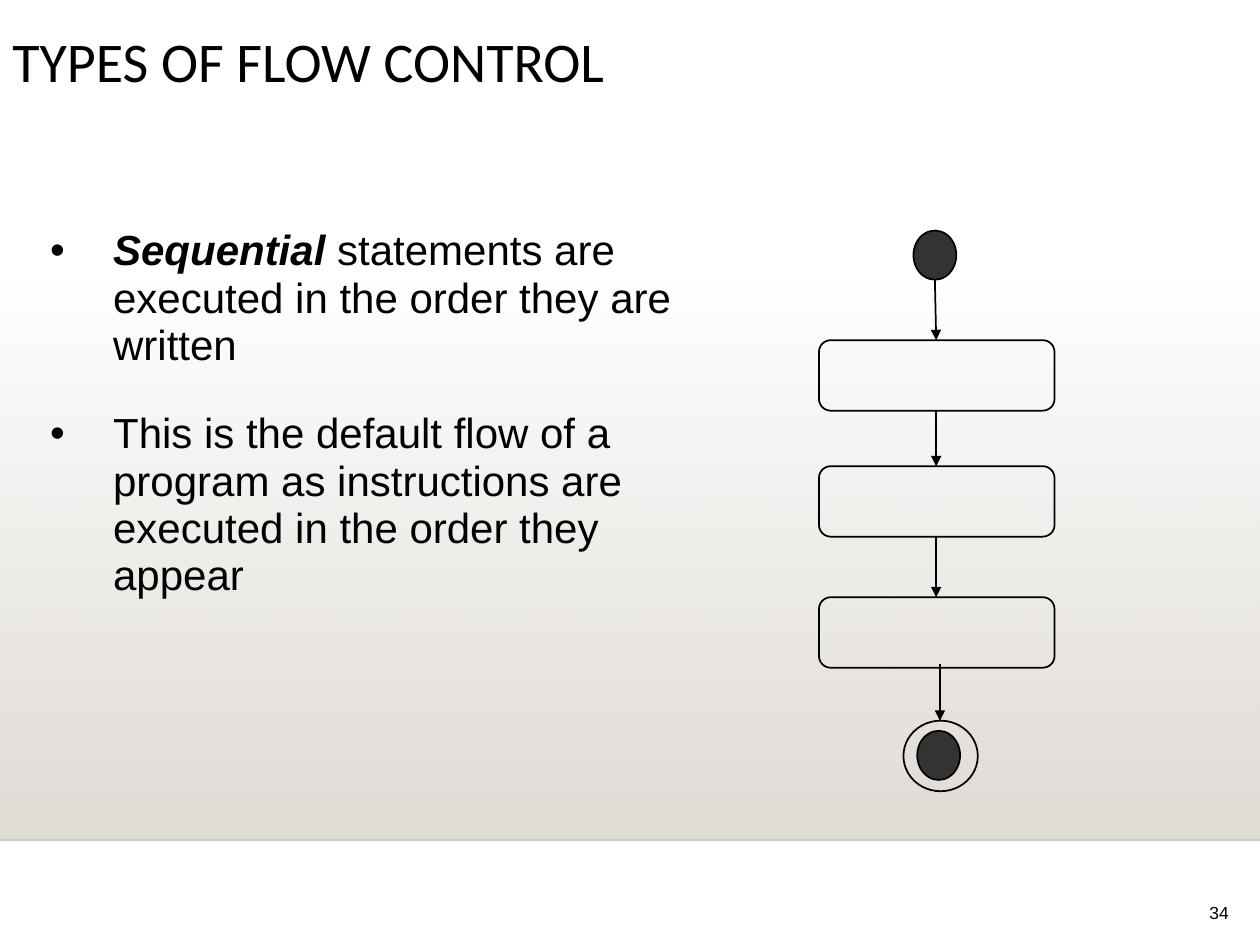
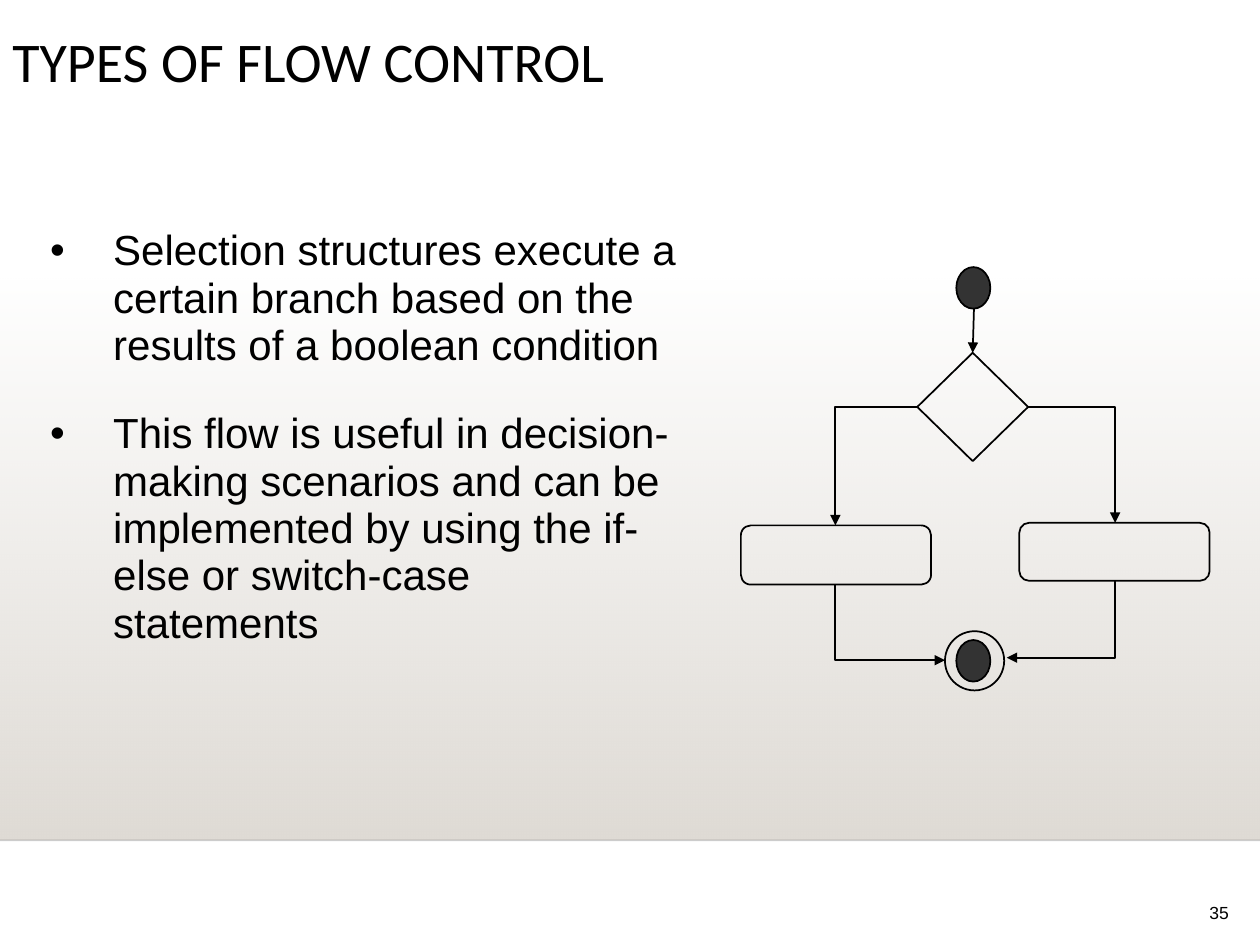
from dataclasses import dataclass

from pptx import Presentation
from pptx.dml.color import RGBColor
from pptx.enum.shapes import MSO_CONNECTOR as Connector, MSO_SHAPE as Shape
from pptx.enum.text import MSO_ANCHOR as Anchor, PP_ALIGN as Align
from pptx.oxml import parse_xml
from pptx.oxml.ns import nsdecls, qn
from pptx.util import Inches, Pt


@dataclass(frozen=True)
class Theme:
    ink: str = "000000"
    dot: str = "333333"
    band: str = "DFDBD5"
    rule: str = "000001"
    title_font: str = "Calibri"
    body_font: str = "Arial"
    title_size: int = 32
    body_size: int = 24
    number_size: int = 10


THEME = Theme()


def add_text(paragraph, text, font=THEME.body_font, size=THEME.body_size,
             emphasis=False, align=Align.LEFT, spacing=0.9):
    paragraph.alignment = align
    paragraph.line_spacing = spacing
    run = paragraph.add_run()
    run.text = text
    run.font.name = font
    run.font.size = Pt(size)
    run.font.bold = run.font.italic = emphasis
    run.font.color.rgb = RGBColor.from_string(THEME.ink)


class Deck:
    """Builds flow control slides in one shared style."""

    def __init__(self, theme):
        self.theme = theme
        self.presentation = Presentation()
        self.presentation.slide_width = Inches(10)
        self.presentation.slide_height = Inches(7.5)
        self.slide = None

    def add_slide(self, title, number):
        self.slide = self.presentation.slides.add_slide(self.presentation.slide_layouts[6])
        self.add_band()
        frame = self.add_frame(8, 7.08, 1.85, 0.29)
        frame.vertical_anchor = Anchor.BOTTOM
        add_text(frame.paragraphs[0], str(number), size=self.theme.number_size,
                 align=Align.RIGHT, spacing=0.8)
        frame = self.add_frame(0, 0.22, 8.92, 1)
        add_text(frame.paragraphs[0], title, font=self.theme.title_font,
                 size=self.theme.title_size)

    def add_band(self):
        band = self.add_shape(Shape.RECTANGLE, 0, 2.2, 10, 4.46)
        band.line.fill.background()
        properties = band.fill._xPr
        properties.replace(properties.find(qn("a:noFill")), parse_xml(
            f'<a:gradFill {nsdecls("a")} rotWithShape="1"><a:gsLst>'
            f'<a:gs pos="0"><a:srgbClr val="{self.theme.band}"><a:alpha val="0"/></a:srgbClr></a:gs>'
            f'<a:gs pos="100000"><a:srgbClr val="{self.theme.band}"/></a:gs>'
            '</a:gsLst><a:lin ang="5400000" scaled="0"/></a:gradFill>'))
        rule = self.add_line((0, 6.67), (10, 6.67), color=self.theme.rule, arrow=False)
        color = rule.line._ln.find(".//" + qn("a:srgbClr"))
        color.append(parse_xml(f'<a:alpha {nsdecls("a")} val="20000"/>'))

    def add_frame(self, left, top, width, height):
        box = self.slide.shapes.add_textbox(Inches(left), Inches(top), Inches(width), Inches(height))
        box.text_frame.word_wrap = True
        return box.text_frame

    def add_bullets(self, width, items):
        frame = self.add_frame(0.3, 1.35, width, 5.44)
        frame.margin_top = Inches(0.46)
        for index, runs in enumerate(items):
            paragraph = frame.add_paragraph() if index else frame.paragraphs[0]
            paragraph.space_before = Pt(23.3 if index else 0)
            for text, emphasis in runs:
                add_text(paragraph, text, emphasis=emphasis, spacing=0.94)
            properties = paragraph._p.get_or_add_pPr()
            properties.set("marL", str(Inches(0.5)))
            properties.set("indent", str(-Inches(0.5)))
            for xml in (f'<a:buClr {nsdecls("a")}><a:srgbClr val="{self.theme.ink}"/></a:buClr>',
                        f'<a:buFont {nsdecls("a")} typeface="{self.theme.body_font}"/>',
                        f'<a:buChar {nsdecls("a")} char="•"/>'):
                properties.append(parse_xml(xml))

    def add_shape(self, kind, left, top, width, height, fill=None):
        shape = self.slide.shapes.add_shape(
            kind, Inches(left), Inches(top), Inches(width), Inches(height))
        shape.shadow.inherit = False
        if fill:
            shape.fill.solid()
            shape.fill.fore_color.rgb = RGBColor.from_string(fill)
        else:
            shape.fill.background()
        shape.line.color.rgb = RGBColor.from_string(self.theme.ink)
        shape.line.width = Pt(1)
        return shape

    def add_step(self, left, top, width, height):
        self.add_shape(Shape.ROUNDED_RECTANGLE, left, top, width, height)

    def add_dot(self, left, top, width, height):
        self.add_shape(Shape.FLOWCHART_CONNECTOR, left, top, width, height, self.theme.dot)

    def add_ring(self, left, top, width, height):
        self.add_shape(Shape.FLOWCHART_CONNECTOR, left, top, width, height)

    def add_line(self, start, end, color=THEME.ink, arrow=True, kind=Connector.STRAIGHT):
        line = self.slide.shapes.add_connector(kind, *(Inches(value) for value in (*start, *end)))
        line.line.color.rgb = RGBColor.from_string(color)
        line.line.width = Pt(1)
        if arrow:
            line.line._ln.append(parse_xml(f'<a:tailEnd {nsdecls("a")} type="triangle"/>'))
        line._element.spPr.append(parse_xml(f'<a:effectLst {nsdecls("a")}/>'))
        return line

    def add_corner(self, start, end, down_first=False):
        rotation = 0
        if down_first:
            across, down = end[0] - start[0], end[1] - start[1]
            side = 1 if across > 0 else -1
            x, y = (start[0] + end[0]) / 2, (start[1] + end[1]) / 2
            half_width, half_height = side * down / 2, side * across / 2
            start, end = (x + half_width, y - half_height), (x - half_width, y + half_height)
            rotation = 180 + 90 * side
        properties = self.add_line(start, end, kind=Connector.ELBOW)._element.spPr
        properties.find(qn("a:prstGeom")).set("prst", "bentConnector2")
        if rotation:
            properties.find(qn("a:xfrm")).set("rot", str(rotation * 60000))


def build_sequence(deck):
    deck.add_slide("TYPES OF FLOW CONTROL", 34)
    deck.add_bullets(5.67, [
        [("Sequential ", True),
         ("statements are executed in the order they are written", False)],
        [("This is the default flow of a program as instructions are executed "
          "in the order they appear", False)],
    ])
    for top in (2.7, 3.7, 4.74):
        deck.add_step(6.5, top, 1.87, 0.56)
    deck.add_dot(7.25, 1.83, 0.34, 0.39)
    for start, end in (((7.42, 2.22), (7.43, 2.7)), ((7.43, 3.26), (7.43, 3.7)),
                       ((7.43, 4.26), (7.43, 4.74)), ((7.46, 5.27), (7.46, 5.72))):
        deck.add_line(start, end)
    deck.add_dot(7.28, 5.8, 0.34, 0.39)
    deck.add_ring(7.17, 5.72, 0.59, 0.56)


def build_selection(deck):
    deck.add_slide("TYPES OF FLOW CONTROL", 35)
    deck.add_bullets(5.21, [
        [("Selection structures execute a certain branch based on the results "
          "of a boolean condition", False)],
        [("This flow is useful in decision-making scenarios and can be implemented "
          "by using the if-else or switch-case statements", False)],
    ])
    deck.add_dot(7.59, 5.08, 0.27, 0.33)
    deck.add_ring(7.5, 5.01, 0.47, 0.47)
    deck.add_step(5.88, 4.17, 1.51, 0.47)
    deck.add_step(8.09, 4.15, 1.51, 0.46)
    deck.add_shape(Shape.DIAMOND, 7.28, 2.8, 0.88, 0.86)
    deck.add_corner((8.16, 3.23), (8.85, 4.15))
    deck.add_corner((7.28, 3.23), (6.63, 4.17))
    deck.add_corner((6.63, 4.64), (7.5, 5.24), down_first=True)
    deck.add_corner((8.85, 4.61), (7.99, 5.22), down_first=True)
    deck.add_dot(7.59, 2.12, 0.27, 0.33)
    deck.add_line((7.73, 2.45), (7.72, 2.8))


def main():
    deck = Deck(THEME)
    build_sequence(deck)
    build_selection(deck)
    deck.presentation.save("out.pptx")


if __name__ == "__main__":
    main()
